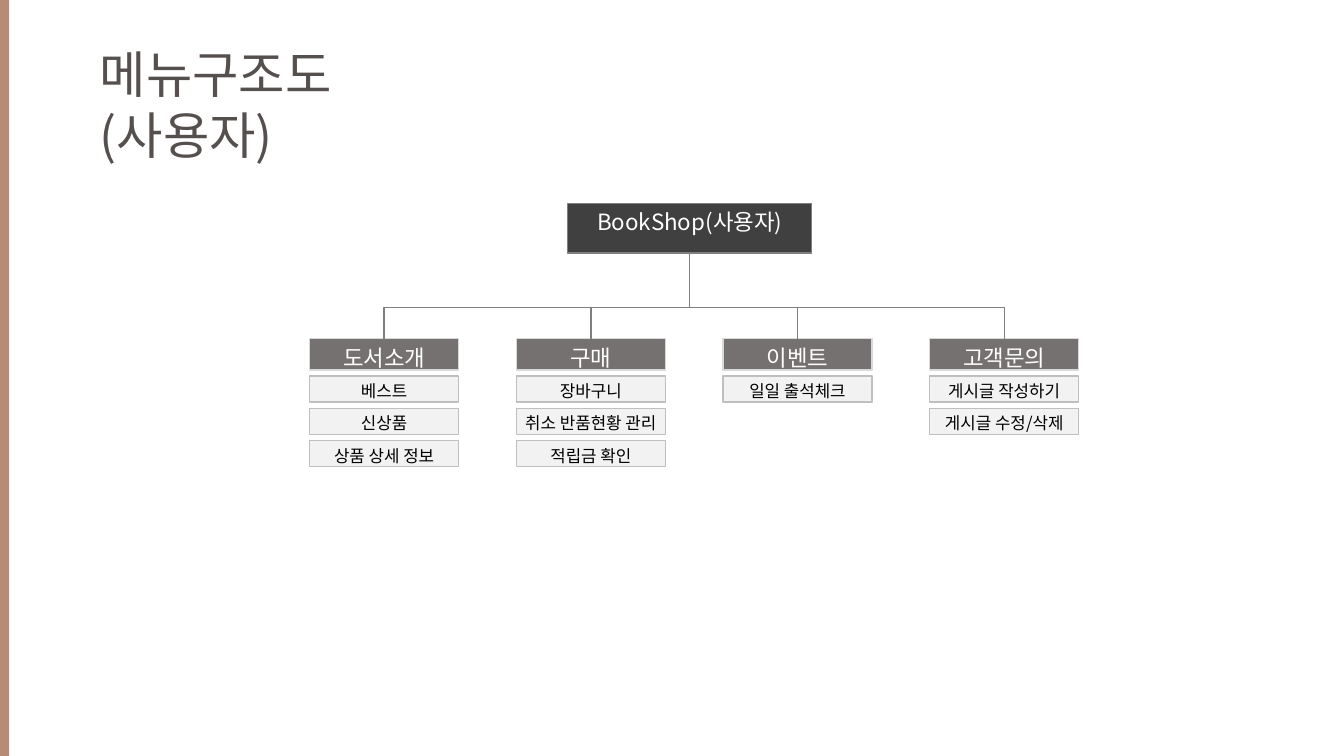
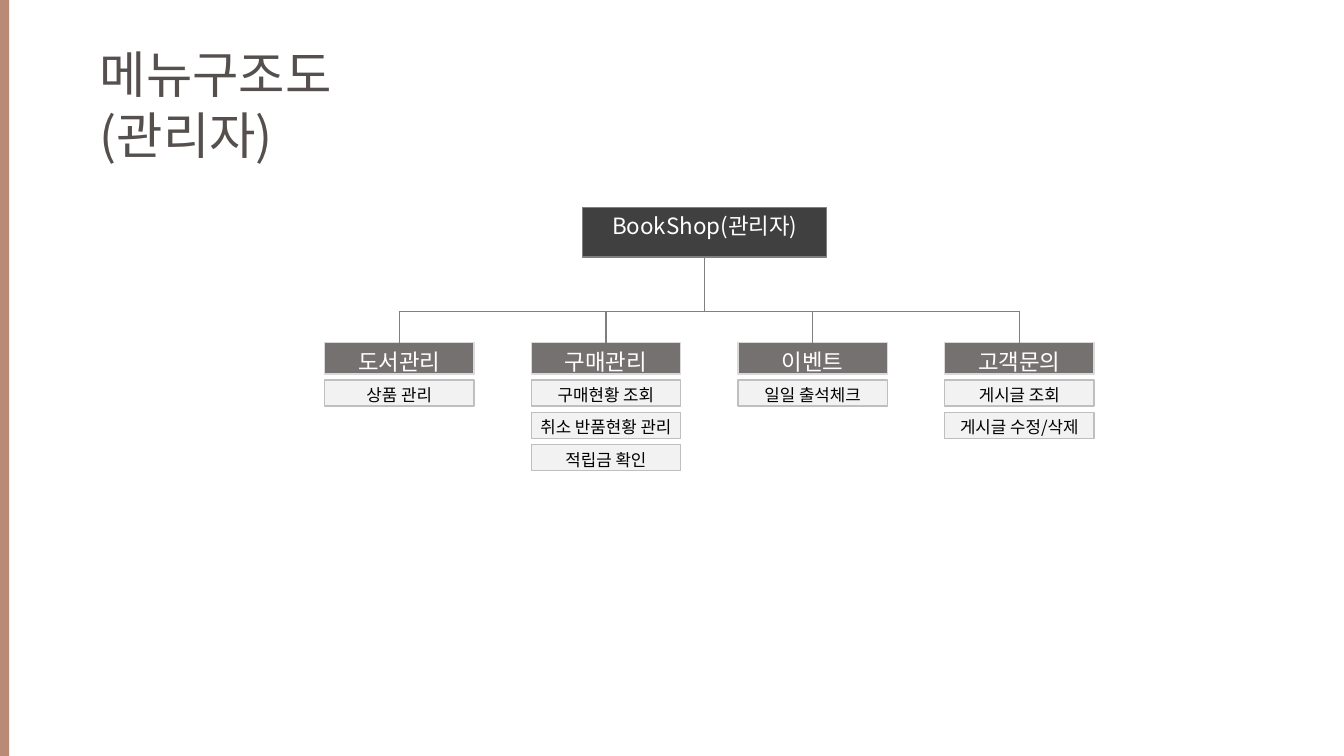
import pptx
import pptx.util
import pptx.dml.color
import pptx.enum.shapes
import pptx.enum.text
import pptx.oxml.ns
from lxml import etree

RGBColor = pptx.dml.color.RGBColor
WHITE = RGBColor(0xFF, 0xFF, 0xFF)
BLACK = RGBColor(0x00, 0x00, 0x00)
BROWN = RGBColor(0xB9, 0x8A, 0x76)
TITLE = RGBColor(0x55, 0x4F, 0x4D)
LINE = RGBColor(0x7F, 0x7F, 0x7F)
ROOT = RGBColor(0x40, 0x40, 0x40)
HEADER = RGBColor(0x76, 0x71, 0x71)
HEADER_LINE = RGBColor(0xD9, 0xD9, 0xD9)
ITEM = RGBColor(0xF2, 0xF2, 0xF2)
ITEM_LINE = RGBColor(0xBF, 0xBF, 0xBF)

FONT = "Noto Sans CJK KR"
PX = 9144
BOX_W = 148
COLUMN_STEP = 205
ITEM_STEP = 32

MENUS = [
    ("사용자", 0, 0, [
        ("도서소개", ["베스트", "신상품", "상품 상세 정보"]),
        ("구매", ["장바구니", "취소 반품현황 관리", "적립금 확인"]),
        ("이벤트", ["일일 출석체크"]),
        ("고객문의", ["게시글 작성하기", "게시글 수정/삭제"]),
    ]),
    ("관리자", 15, 4, [
        ("도서관리", ["상품 관리"]),
        ("구매관리", ["구매현황 조회", "취소 반품현황 관리", "적립금 확인"]),
        ("이벤트", ["일일 출석체크"]),
        ("고객문의", ["게시글 조회", "게시글 수정/삭제"]),
    ]),
]


class Deck:
    def __init__(self):
        self.prs = pptx.Presentation()
        self.prs.slide_width = 1333 * PX
        self.prs.slide_height = 750 * PX
        self.s = None

    def slide(self, title_lines):
        self.s = self.prs.slides.add_slide(self.prs.slide_layouts[6])
        self.title(title_lines)
        self.rect(0, 0, 9, 750, BROWN)

    def run(self, p, text, size, color):
        r = p.add_run()
        r.text = text
        r.font.size = pptx.util.Pt(size)
        r.font.name = FONT
        r.font.color.rgb = color
        ea = etree.SubElement(r.font._element, pptx.oxml.ns.qn("a:ea"))
        ea.set("typeface", FONT)

    def title(self, lines):
        tf = self.s.shapes.add_textbox(89 * PX, 38 * PX, 398 * PX, 131 * PX).text_frame
        tf.word_wrap = True
        for i, line in enumerate(lines):
            p = tf.add_paragraph() if i else tf.paragraphs[0]
            self.run(p, line, 36, TITLE)

    def rect(self, x, y, w, h, fill, line=None):
        sp = self.s.shapes.add_shape(
            pptx.enum.shapes.MSO_SHAPE.RECTANGLE, x * PX, y * PX, w * PX, h * PX)
        sp.shadow.inherit = False
        sp.fill.solid()
        sp.fill.fore_color.rgb = fill
        if line is None:
            sp.line.fill.background()
        else:
            sp.line.color.rgb = line
            sp.line.width = pptx.util.Pt(1)
        return sp

    def box(self, x, y, w, h, text, size, color, fill, line):
        sp = self.rect(x, y, w, h, fill, line)
        tf = sp.text_frame
        tf.word_wrap = False
        tf.vertical_anchor = pptx.enum.text.MSO_ANCHOR.TOP
        p = tf.paragraphs[0]
        p.alignment = pptx.enum.text.PP_ALIGN.CENTER
        self.run(p, text, size, color)
        return sp

    def line(self, x1, y1, x2, y2, start=None, end=None):
        c = self.s.shapes.add_connector(
            pptx.enum.shapes.MSO_CONNECTOR.STRAIGHT, x1 * PX, y1 * PX, x2 * PX, y2 * PX)
        if start is not None:
            c.begin_connect(start, 2)
        if end is not None:
            c.end_connect(end, 0)
        c.line.color.rgb = LINE
        c.line.width = pptx.util.Pt(1)
        etree.SubElement(c._element.spPr, pptx.oxml.ns.qn("a:effectLst"))

    def tree(self, role, dx, dy, columns):
        root = self.box(563 + dx, 202 + dy, 242, 49, f"BookShop({role})", 16, WHITE, ROOT, LINE)
        root_mid, bus_y, header_y = 684 + dx, 305 + dy, 336 + dy
        self.line(root_mid, 251 + dy, root_mid, bus_y, start=root)
        left = 307 + dx
        first_mid = left + BOX_W // 2
        self.line(first_mid, bus_y, first_mid + (len(columns) - 1) * COLUMN_STEP, bus_y)
        for i, (name, items) in enumerate(columns):
            x = left + i * COLUMN_STEP
            mid = x + BOX_W // 2
            header = self.box(x, header_y, BOX_W, 31, name, 16, WHITE, HEADER, HEADER_LINE)
            self.line(mid, bus_y, mid, header_y, end=header)
            for j, item in enumerate(items):
                self.box(x, header_y + 37 + j * ITEM_STEP, BOX_W, 26, item, 12, BLACK, ITEM, ITEM_LINE)


def main():
    deck = Deck()
    for role, dx, dy, columns in MENUS:
        deck.slide(["메뉴구조도", f"({role})"])
        deck.tree(role, dx, dy, columns)
    deck.prs.save("out.pptx")


if __name__ == "__main__":
    main()
